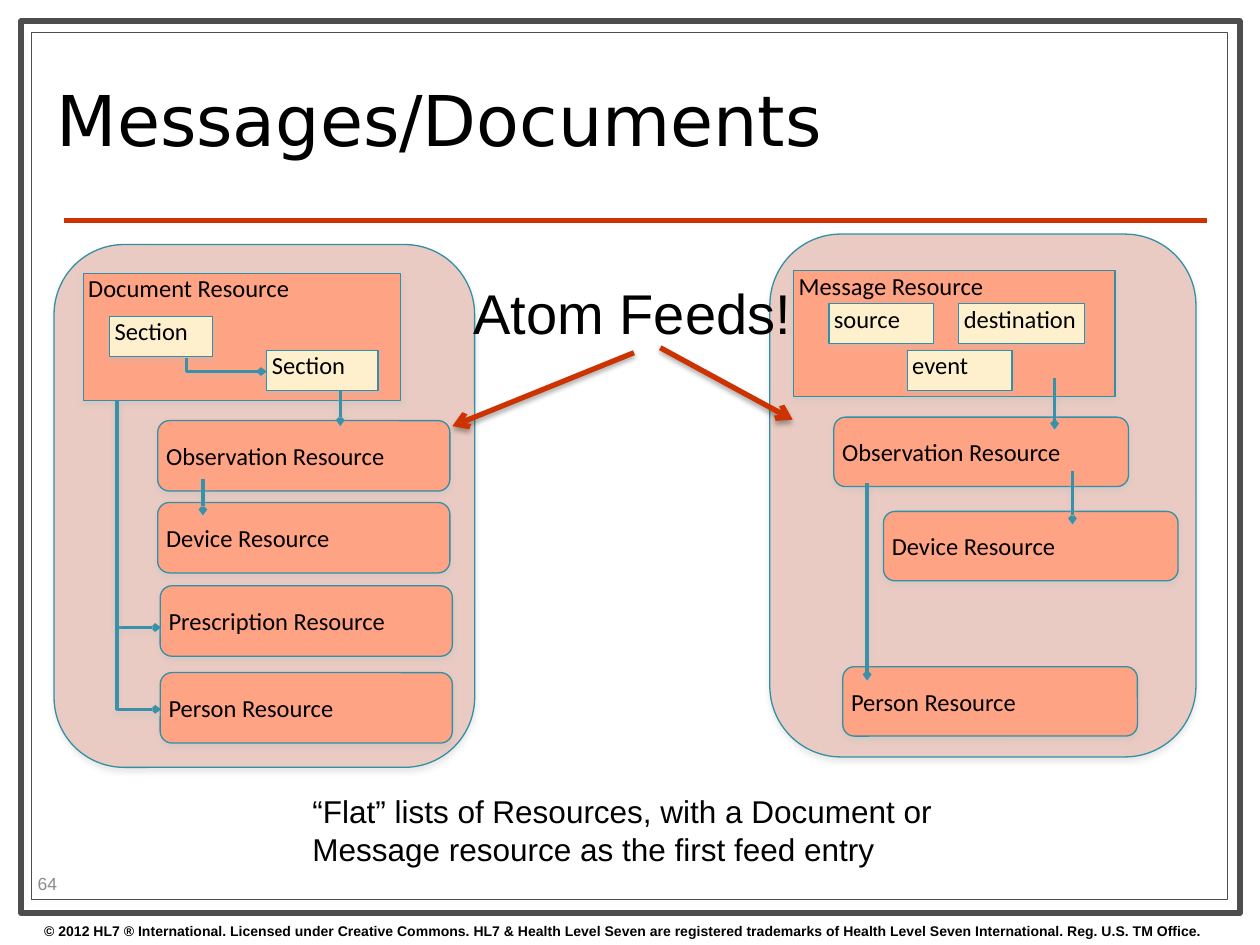
from dataclasses import dataclass

from lxml import etree
from pptx import Presentation
from pptx.dml.color import RGBColor
from pptx.enum.shapes import MSO_CONNECTOR, MSO_SHAPE
from pptx.enum.text import MSO_ANCHOR, PP_ALIGN
from pptx.oxml.ns import qn
from pptx.util import Cm, Pt

RECT, ROUND = MSO_SHAPE.RECTANGLE, MSO_SHAPE.ROUNDED_RECTANGLE
TOP, MIDDLE = MSO_ANCHOR.TOP, MSO_ANCHOR.MIDDLE
STRAIGHT = MSO_CONNECTOR.STRAIGHT
LEFT = PP_ALIGN.LEFT


@dataclass(frozen=True)
class Theme:
    white: str = "FFFFFF"
    black: str = "000000"
    frame: str = "4D4D4D"
    accent: str = "CC3300"
    feed: str = "E9CBC3"
    resource: str = "FFA385"
    element: str = "FEF0CD"
    outline: str = "338FA5"
    link: str = "3891A7"
    soft: str = "C0C0C0"
    muted: str = "8C8C8C"
    title_size: float = 40
    heading_size: float = 32
    caption_size: float = 18
    label_size: float = 14
    number_size: float = 10
    legal_size: float = 8


T = Theme()


@dataclass(frozen=True)
class Box:
    x: float
    y: float
    w: float
    h: float
    fill: str
    text: str = ""
    shape: int = RECT
    anchor: int = TOP
    line: str = T.outline
    weight: float = 0.75
    shadow: str = T.soft


@dataclass(frozen=True)
class Label:
    x: float
    y: float
    w: float
    h: float
    text: str
    size: float
    color: str = T.black
    bold: bool = False
    anchor: int = TOP
    wrap: bool = True


@dataclass(frozen=True)
class Arrow:
    points: tuple
    color: str = T.link
    weight: float = 2
    shadow: str = T.soft
    head: str = "sm"


def feed(x: float, y: float, w: float) -> Box:
    return Box(x, y, w, 10.54, T.feed, shape=ROUND)


def resource(x: float, y: float, w: float, h: float, name: str) -> Box:
    return Box(x, y, w, h, T.resource, f"{name} Resource", ROUND, MIDDLE)


def element_box(x: float, y: float, w: float, text: str) -> Box:
    return Box(x, y, w, 0.81, T.element, text)


FRAMES = [
    Box(0.43, 0.43, 24.56, 17.98, T.white, line=T.frame, weight=3.5, shadow=""),
    Box(0.64, 0.66, 24.1, 17.48, T.white, line=T.frame, shadow=""),
]
DOCUMENT_FEED = [
    feed(1.09, 4.93, 8.48),
    Box(1.68, 5.51, 6.4, 2.57, T.resource, "Document Resource"),
    element_box(2.21, 6.38, 2.08, "Section"),
    element_box(5.38, 7.06, 2.24, "Section"),
    *(resource(x, y, 5.89, 1.42, name) for x, y, name in (
        (3.18, 8.48, "Observation"), (3.18, 10.13, "Device"),
        (3.23, 11.81, "Prescription"), (3.23, 13.56, "Person"))),
]
MESSAGE_FEED = [
    feed(15.52, 4.72, 8.59),
    Box(16, 5.46, 6.48, 2.54, T.resource, "Message Resource"),
    element_box(16.71, 6.12, 2.11, "source"),
    element_box(19.33, 6.12, 2.54, "destination"),
    element_box(18.29, 7.06, 2.11, "event"),
    *(resource(x, y, 5.94, 1.4, name) for x, y, name in (
        (16.81, 8.41, "Observation"), (17.81, 10.31, "Device"),
        (16.99, 13.44, "Person"))),
]
LINKS = [
    Arrow(((3.76, 7.21), (3.76, 7.49), (5.38, 7.49))),
    *(Arrow(((2.36, 8.08), (2.36, y), (3.25, y))) for y in (12.65, 14.3)),
    *(Arrow(((x, y1), (x, y2))) for x, y1, y2 in (
        (6.86, 7.87, 8.59), (4.09, 9.65, 10.39), (21.26, 7.62, 8.66),
        (21.62, 9.5, 10.57), (17.48, 9.73, 13.72))),
    *(Arrow(points, T.accent, 3, T.black, "med") for points in (
        ((12.78, 7.11), (9.12, 8.59)), ((13.31, 7.01), (15.98, 8.46)))),
]
LABELS = [
    Label(0.64, 18.47, 25.4, 0.58,
          "© 2012 HL7 ® International. Licensed under Creative Commons. "
          "HL7 & Health Level Seven are registered trademarks of "
          "Health Level Seven International. Reg. U.S. TM Office.",
          T.legal_size, bold=True),
    Label(0.51, 17.5, 2.01, 0.61, "64", T.number_size, T.muted, anchor=MIDDLE),
    Label(9.3, 5.49, 6.96, 1.63, "Atom Feeds!", T.heading_size, wrap=False),
    Label(6.05, 15.85, 14.58, 1.8,
          "“Flat” lists of Resources, with a Document or "
          "Message resource as the first feed entry", T.caption_size),
]


def write(tf, text: str, font: str, size: float, color: str = T.black,
          bold: bool = False) -> None:
    p = tf.paragraphs[0]
    p.alignment = LEFT
    r = p.add_run()
    r.text = text
    for name, value in {"name": font, "size": Pt(size), "bold": bold}.items():
        setattr(r.font, name, value)
    r.font.color.rgb = RGBColor.from_string(color)


def set_line(shape, color: str, weight: float) -> None:
    shape.line.color.rgb = RGBColor.from_string(color)
    shape.line.width = Pt(weight)


def set_shadow(shape, color: str = "") -> None:
    """Replace the theme shadow by a soft one below, or by none without a colour."""
    effects = etree.SubElement(shape.element.spPr, qn("a:effectLst"))
    if color:
        outer = etree.SubElement(effects, qn("a:outerShdw"), blurRad=str(Pt(3)),
                                 dist=str(Pt(1.8)), dir="5400000", rotWithShape="0")
        rgb = etree.SubElement(outer, qn("a:srgbClr"), val=color)
        etree.SubElement(rgb, qn("a:alpha"), val="35000")


def draw_box(s, box: Box) -> None:
    sp = s.shapes.add_shape(box.shape, *map(Cm, (box.x, box.y, box.w, box.h)))
    sp.fill.solid()
    sp.fill.fore_color.rgb = RGBColor.from_string(box.fill)
    set_line(sp, box.line, box.weight)
    set_shadow(sp, box.shadow)
    if box.text:
        tf = sp.text_frame
        for name, value in {"margin_left": Cm(0.1), "margin_top": 0, "margin_right": 0,
                            "margin_bottom": 0, "vertical_anchor": box.anchor}.items():
            setattr(tf, name, value)
        write(tf, box.text, "Calibri", T.label_size)


def draw_label(s, label: Label) -> None:
    sp = s.shapes.add_textbox(*map(Cm, (label.x, label.y, label.w, label.h)))
    sp.text_frame.word_wrap = label.wrap
    sp.text_frame.vertical_anchor = label.anchor
    write(sp.text_frame, label.text, "Arial", label.size, label.color, label.bold)


def draw_line(s, start: tuple, end: tuple):
    return s.shapes.add_connector(STRAIGHT, *map(Cm, (*start, *end)))


def draw_arrow(s, arrow: Arrow) -> None:
    if len(arrow.points) == 2:
        sp = draw_line(s, *arrow.points)
    else:
        start, *rest = [(Cm(x), Cm(y)) for x, y in arrow.points]
        builder = s.shapes.build_freeform(*start)
        builder.add_line_segments(rest, close=False)
        sp = builder.convert_to_shape()
        sp.fill.background()
    set_line(sp, arrow.color, arrow.weight)
    etree.SubElement(sp.element.spPr.find(qn("a:ln")), qn("a:tailEnd"),
                     type="arrow", w=arrow.head, len=arrow.head)
    set_shadow(sp, arrow.shadow)


def draw_title(s, text: str) -> None:
    title = s.shapes.title
    title.element.getparent().append(title.element)  # in front of the frames
    for name, value in {"left": 0.89, "top": 0.91, "width": 18.21, "height": 3.28}.items():
        setattr(title, name, Cm(value))
    title.text_frame.vertical_anchor = MIDDLE
    write(title.text_frame, text, "DejaVu Sans", T.title_size)
    title.text_frame.paragraphs[0].line_spacing = 0.8


def main() -> None:
    prs = Presentation()
    prs.slide_width, prs.slide_height = Cm(25.4), Cm(19.05)
    s = prs.slides.add_slide(prs.slide_layouts[5])
    for box in FRAMES:
        draw_box(s, box)
    rule = draw_line(s, (1.3, 4.45), (24.33, 4.45))
    set_line(rule, T.accent, 3)
    set_shadow(rule)
    draw_title(s, "Messages/Documents")
    for box in DOCUMENT_FEED + MESSAGE_FEED:
        draw_box(s, box)
    for arrow in LINKS:
        draw_arrow(s, arrow)
    for label in LABELS:
        draw_label(s, label)
    prs.save("out.pptx")


if __name__ == "__main__":
    main()
